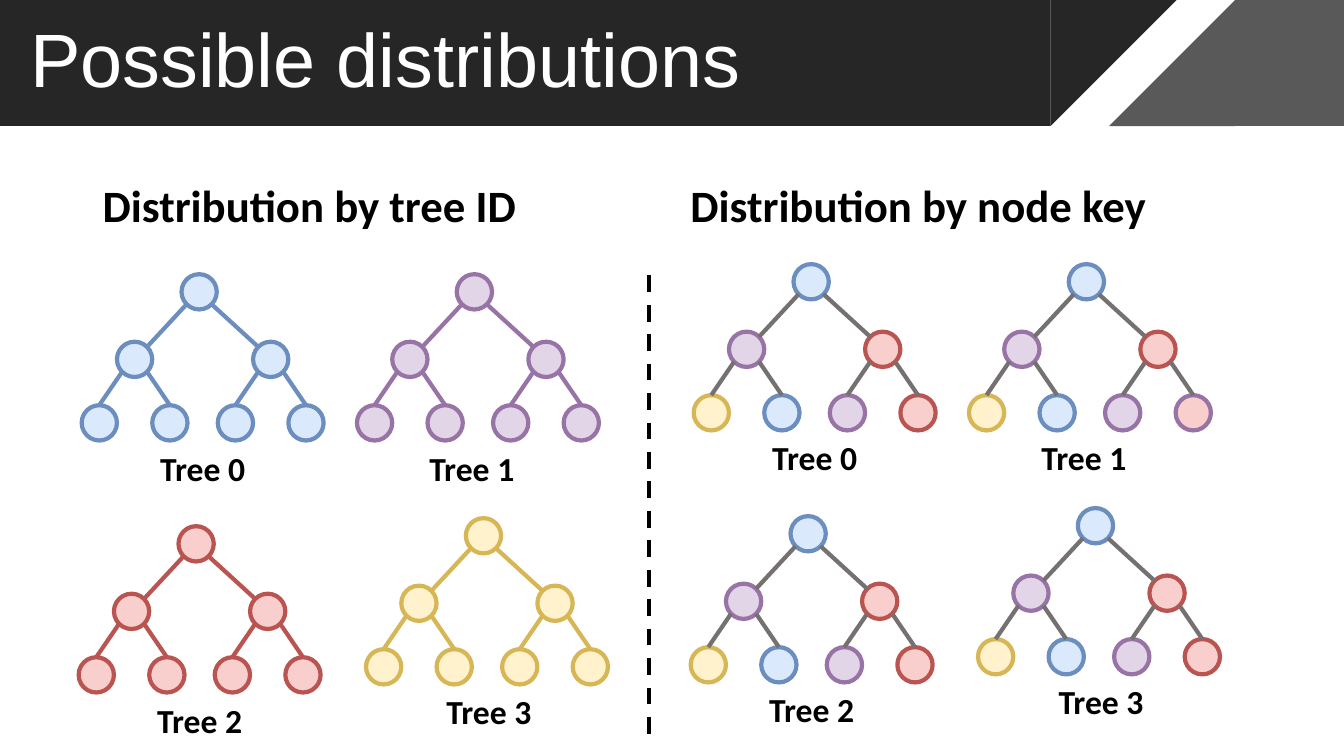
from lxml.etree import SubElement
from pptx import Presentation
from pptx.dml.color import RGBColor
from pptx.enum.dml import MSO_LINE
from pptx.enum.shapes import MSO_CONNECTOR, MSO_SHAPE
from pptx.enum.text import MSO_ANCHOR
from pptx.oxml.ns import qn
from pptx.util import Inches, Pt

TITLE = "Possible distributions"
BLUE, PURPLE, RED, YELLOW = (
    ("DBE9FC", "6C8EBF"), ("E2D5E8", "9773A6"),
    ("F8CFCC", "B95450"), ("FFF2CC", "D7B656"))
GRAY = "767171"
BLACK, WHITE = "000000", "FFFFFF"

# Label, left, top, label offset, server colour
TREES = [
    ("Tree 0", 0.81, 2.72, 0.68, BLUE),
    ("Tree 1", 3.54, 2.72, 0.62, PURPLE),
    ("Tree 2", 0.78, 5.22, 0.68, RED),
    ("Tree 3", 3.63, 5.14, 0.70, YELLOW),
]
# Nodes in level order: root, inner nodes, leaves
NODE_OFFSETS = [(0.99, 0), (0.35, 0.67), (1.7, 0.67),
                (0, 1.3), (0.7, 1.3), (1.35, 1.3), (2.05, 1.3)]
KEY_COLORS = [BLUE, PURPLE, RED, YELLOW, BLUE, PURPLE, RED]
MIXED_LEAF = (RED[0], PURPLE[1])
KEY_SHIFT = (6.07, -0.1)
DIAMETER = 0.35
DIAGONAL = DIAMETER / 2 * 0.71
LABEL_DROP = 1.67

HEADINGS = [("Distribution by tree ID", 0.92), ("Distribution by node key", 6.75)]

# Preset, left, width, colour, rotation
BANNER = [
    (MSO_SHAPE.RECTANGLE, 0, 10.42, "262626", 0),
    (MSO_SHAPE.RECTANGLE, 12.25, 1.08, "595959", 0),
    (MSO_SHAPE.ISOSCELES_TRIANGLE, 10.42, 1.25, "262626", 180),
    (MSO_SHAPE.ISOSCELES_TRIANGLE, 11, 1.25, "595959", 0),
]
BANNER_HEIGHT = 1.25


def rgb(color):
    return RGBColor.from_string(color)


def add_filled(shapes, preset, left, top, width, height, fill, outline=None):
    shape = shapes.add_shape(preset, Inches(left), Inches(top),
                             Inches(width), Inches(height))
    shape.shadow.inherit = False
    shape.fill.solid()
    shape.fill.fore_color.rgb = rgb(fill)
    if outline:
        shape.line.color.rgb = rgb(outline)
        shape.line.width = Pt(3)
    else:
        shape.line.fill.background()
    return shape


def add_line(shapes, start, end, color):
    line = shapes.add_connector(MSO_CONNECTOR.STRAIGHT,
                                *(Inches(value) for value in (*start, *end)))
    line.line.color.rgb = rgb(color)
    line.line.width = Pt(3)
    SubElement(line._element.spPr, qn("a:effectLst"))
    return line


def add_text(shapes, text, left, top, width, height, size, color=BLACK,
             font="Calibri", bold=True, wrap=True, anchor=MSO_ANCHOR.TOP, spacing=None):
    frame = shapes.add_textbox(Inches(left), Inches(top),
                               Inches(width), Inches(height)).text_frame
    frame.text = text
    frame.word_wrap = wrap
    frame.vertical_anchor = anchor
    paragraph = frame.paragraphs[0]
    paragraph.line_spacing = spacing
    run_font = paragraph.runs[0].font
    run_font.name, run_font.size, run_font.bold = font, Pt(size), bold
    run_font.color.rgb = rgb(color)


def add_tree(slide, left, top, node_colors, edge_color=None):
    """Draw a seven-node binary tree; edges default to each node's outline."""
    shapes = slide.shapes.add_group_shape().shapes
    centers = []
    for (dx, dy), (fill, outline) in zip(NODE_OFFSETS, node_colors):
        add_filled(shapes, MSO_SHAPE.OVAL, left + dx, top + dy,
                   DIAMETER, DIAMETER, fill, outline)
        centers.append((left + dx + DIAMETER / 2, top + dy + DIAMETER / 2))
    for child in range(1, len(centers)):
        parent_x, parent_y = centers[(child - 1) // 2]
        child_x, child_y = centers[child]
        side = DIAGONAL if child_x > parent_x else -DIAGONAL
        is_leaf = child > 2
        end = ((child_x, child_y - DIAMETER / 2) if is_leaf
               else (child_x - side, child_y - DIAGONAL))
        add_line(shapes, (parent_x + side, parent_y + DIAGONAL), end,
                 edge_color or node_colors[child][1])


def main():
    presentation = Presentation()
    presentation.slide_width = Inches(13.33)
    presentation.slide_height = Inches(7.5)
    slide = presentation.slides.add_slide(presentation.slide_layouts[6])

    for preset, left, width, color, rotation in BANNER:
        part = add_filled(slide.shapes, preset, left, 0, width, BANNER_HEIGHT, color)
        part.rotation = rotation
        if preset == MSO_SHAPE.ISOSCELES_TRIANGLE:
            part.adjustments[0] = 1
    add_text(slide.shapes, TITLE, 0.2, 0, 10.8, BANNER_HEIGHT, 54, WHITE, "Arial",
             bold=False, anchor=MSO_ANCHOR.MIDDLE, spacing=0.9)
    for heading, left in HEADINGS:
        add_text(slide.shapes, heading, left, 1.45, 5.65, 0.9, 32,
                 anchor=MSO_ANCHOR.BOTTOM, spacing=0.9)

    for by_key in (False, True):
        shift_x, shift_y = KEY_SHIFT if by_key else (0, 0)
        for label, left, top, label_offset, color in TREES:
            x, y = left + shift_x, top + shift_y
            node_colors = list(KEY_COLORS) if by_key else [color] * len(NODE_OFFSETS)
            if by_key and label == "Tree 1":
                node_colors[-1] = MIXED_LEAF
            add_tree(slide, x, y, node_colors, GRAY if by_key else None)
            add_text(slide.shapes, label, x + label_offset, y + LABEL_DROP,
                     1.05, 0.5, 24, wrap=False)

    divider = add_line(slide.shapes, (6.44, 7.28), (6.44, 2.62), BLACK)
    divider.line.dash_style = MSO_LINE.DASH
    presentation.save("out.pptx")


if __name__ == "__main__":
    main()
